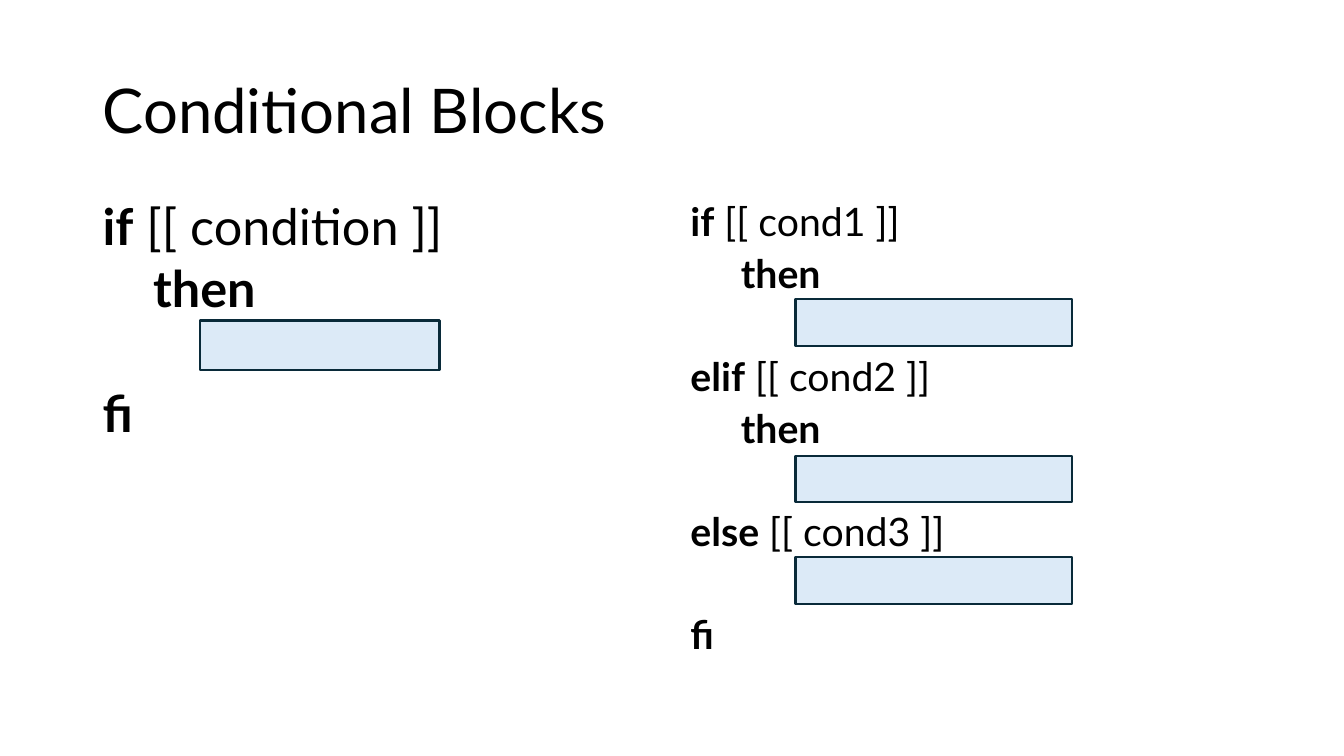
"""Build a slide that shows the layout of shell conditional blocks."""
from pptx import Presentation
from pptx.dml.color import RGBColor
from pptx.enum.shapes import MSO_SHAPE
from pptx.enum.text import MSO_ANCHOR
from pptx.util import Inches, Pt

RECTANGLE = MSO_SHAPE.RECTANGLE
TOP, MIDDLE = MSO_ANCHOR.TOP, MSO_ANCHOR.MIDDLE
FONT = "Lato"
TEXT, BLOCK_FILL, BLOCK_LINE = "000000", "DCEAF7", "092A39"
LINE_SPACING, SPACE_BEFORE, FONT_HEIGHT = 0.8, 10, 1.2

TITLE = ("", "Conditional Blocks", 0)
# Each line is a bold keyword, plain text and the number of rows left free above it.
COLUMNS = [
    {
        "left": 0.92, "size": 36,
        "lines": [("if", " [[ condition ]]", 0), ("\tthen", "", 0), ("fi", "", 1)],
        "block_left": 1.98, "block_size": (2.38, 0.49), "block_tops": [3.18],
    },
    {
        "left": 6.75, "size": 28,
        "lines": [
            ("if", " [[ cond1 ]]", 0), ("\tthen", "", 0),
            ("elif", " [[ cond2 ]]", 1), ("\tthen", "", 0),
            ("else", " [[ cond3 ]]", 1), ("fi", "", 1),
        ],
        "block_left": 7.89, "block_size": (2.74, 0.46), "block_tops": [2.97, 4.52, 5.53],
    },
]


def color(value):
    return RGBColor.from_string(value)


def add_text(page, lines, area, size, spacing=LINE_SPACING, before=SPACE_BEFORE, anchor=TOP):
    box = page.shapes.add_textbox(*map(Inches, area))
    frame = box.text_frame
    frame.word_wrap = True
    frame.vertical_anchor = anchor
    row_height = size * FONT_HEIGHT * spacing + before
    for index, (keyword, rest, free_rows) in enumerate(lines):
        para = frame.add_paragraph() if index else frame.paragraphs[0]
        para.line_spacing = spacing
        para.space_before = Pt(round(before + free_rows * row_height, 2))
        for text, bold in ((keyword, True), (rest, False)):
            if text:
                span = para.add_run()
                span.text = text
                span.font.name = FONT
                span.font.size = Pt(size)
                span.font.bold = bold
                span.font.color.rgb = color(TEXT)


def add_block(page, left, top, width, height):
    block = page.shapes.add_shape(RECTANGLE, *map(Inches, (left, top, width, height)))
    block.shadow.inherit = False
    block.fill.solid()
    block.fill.fore_color.rgb = color(BLOCK_FILL)
    block.line.color.rgb = color(BLOCK_LINE)
    block.line.width = Pt(1.5)


def main():
    deck = Presentation()
    deck.slide_width, deck.slide_height = Inches(13.33), Inches(7.5)
    page = deck.slides.add_slide(deck.slide_layouts[6])
    add_text(page, [TITLE], (0.92, 0.4, 11.5, 1.45), 44, spacing=0.9, before=0, anchor=MIDDLE)
    for column in COLUMNS:
        add_text(page, column["lines"], (column["left"], 2, 5.67, 4.76), column["size"])
        for top in column["block_tops"]:
            add_block(page, column["block_left"], top, *column["block_size"])
    deck.save("out.pptx")


if __name__ == "__main__":
    main()
